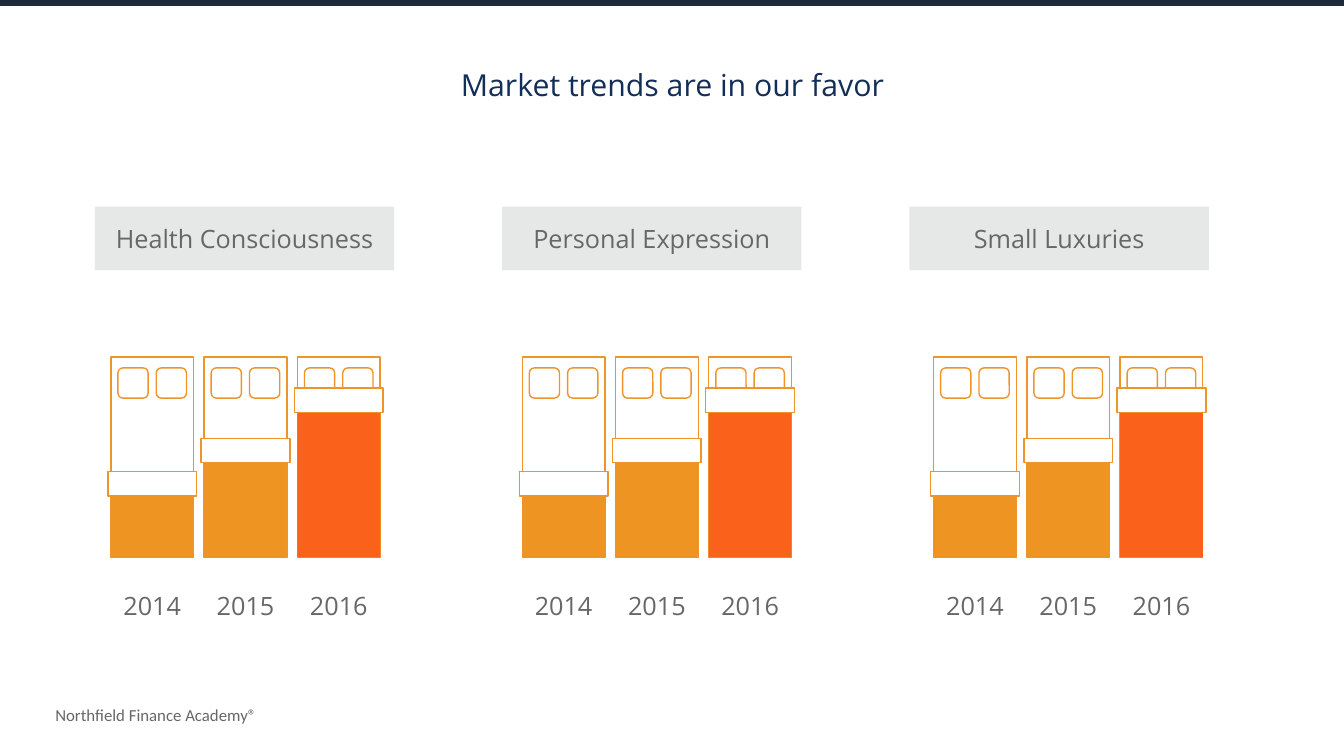
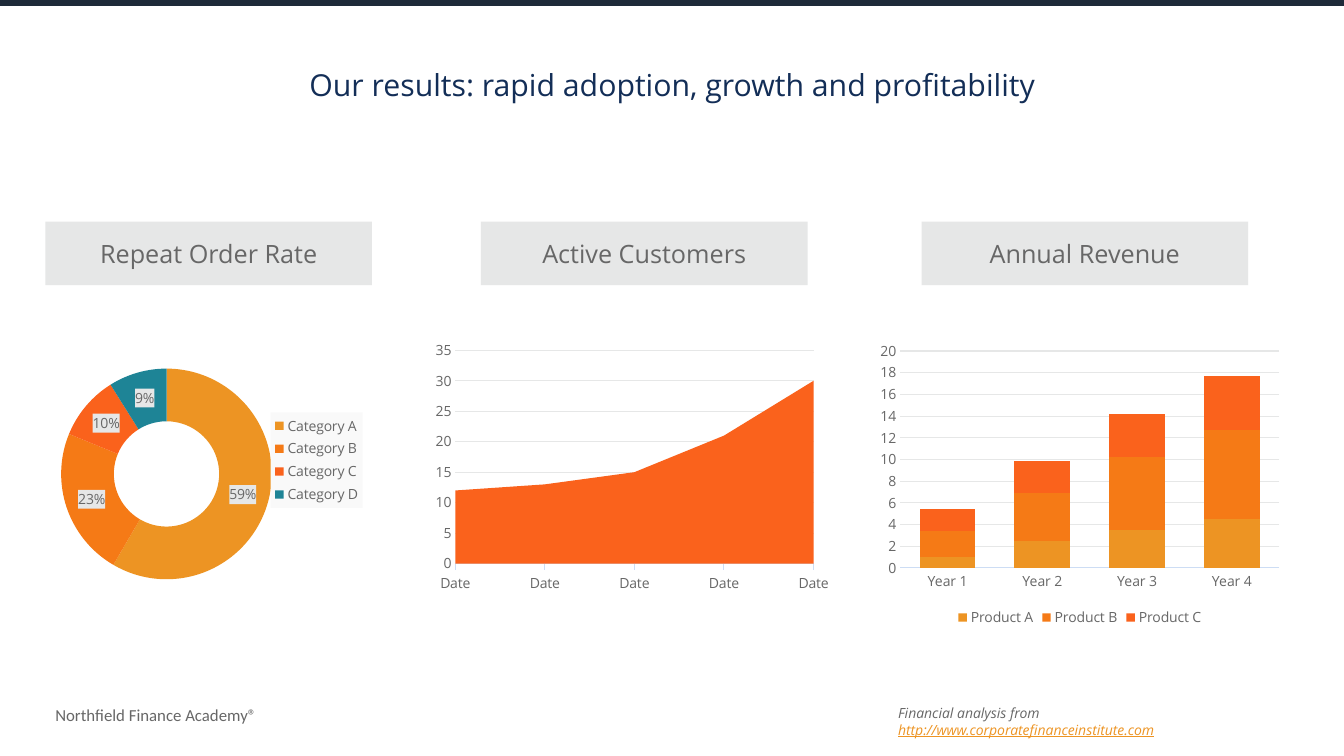
from lxml.etree import SubElement
from pptx import Presentation
from pptx.chart.data import CategoryChartData
from pptx.dml.color import RGBColor
from pptx.enum.chart import XL_CHART_TYPE as Chart, XL_LEGEND_POSITION as LegendSide, XL_TICK_MARK as Tick
from pptx.enum.shapes import MSO_SHAPE as Preset
from pptx.enum.text import MSO_ANCHOR as Anchor, MSO_AUTO_SIZE as AutoSize, PP_ALIGN as Align
from pptx.oxml.ns import qn
from pptx.util import Inches, Pt

COLORS = {
    "band": "1E2A39", "title": "132E57", "text": "676767", "panel": "E6E7E7",
    "amber": "ED9423", "outline": "ED942D", "orange": "F57A16", "red": "FA621C",
    "teal": "1E8496", "axis": "CDDDF4", "legend": "F9F9F9", "white": "FFFFFF",
}
FONT = "Open Sans"


def rgb(name):
    """Return the palette colour of the given name."""
    return RGBColor.from_string(COLORS[name])


def style_font(font, size, color="text", face=FONT, italic=False, underline=False):
    """Apply size, colour, face and emphasis to a font."""
    font.size, font.name = Pt(size), face
    font.color.rgb = rgb(color)
    font.italic, font.underline = italic, underline


def write(shape, text, size=18, align=Align.LEFT, anchor=Anchor.TOP, wrap=True, spacing=None, **style):
    """Append a formatted run to the first paragraph of a shape."""
    frame = shape.text_frame
    frame.word_wrap, frame.vertical_anchor = wrap, anchor
    frame.auto_size = AutoSize.NONE
    paragraph = frame.paragraphs[0]
    paragraph.alignment = align
    paragraph.line_spacing = spacing
    run = paragraph.add_run()
    run.text = text
    style_font(run.font, size, **style)


def add_textbox(slide, left, top, width, height):
    """Add an empty text box."""
    return slide.shapes.add_textbox(*map(Inches, (left, top, width, height)))


def add_block(slide, left, top, width, height, fill=None, line=None, preset=Preset.RECTANGLE):
    """Add a flat preset shape with optional fill and outline."""
    block = slide.shapes.add_shape(preset, *map(Inches, (left, top, width, height)))
    block.shadow.inherit = False
    if fill:
        block.fill.solid()
        block.fill.fore_color.rgb = rgb(fill)
    else:
        block.fill.background()
    if line:
        block.line.color.rgb = rgb(line)
        block.line.width = Pt(1)
    else:
        block.line.fill.background()
    return block


def add_base_slide(deck, heading):
    """Add a slide with the top band, footer and title."""
    slide = deck.slides.add_slide(deck.slide_layouts[5])
    add_block(slide, 0, 0, 13.33, 0.05, fill="band", line="band")
    footer = add_textbox(slide, 0.45, 6.94, 2.19, 0.3)
    write(footer, "Northfield Finance Academy®", size=12, wrap=False, face="Calibri")
    title = slide.shapes.title
    title.left, title.top, title.width, title.height = map(Inches, (1.67, 0.7, 10, 0.37))
    write(title, heading, size=21.6, align=Align.CENTER, anchor=Anchor.MIDDLE, spacing=0.7, color="title")
    return slide


def add_header(slide, left, top, width, label):
    """Add a grey column header."""
    header = add_block(slide, left, top, width, 0.63, fill="panel")
    write(header, label, align=Align.CENTER, anchor=Anchor.MIDDLE)


def add_bed(slide, left, top, year, blanket_height, blanket_color):
    """Draw a bed whose blanket height shows the year's level."""
    width, height = 0.82, 1.99
    add_block(slide, left, top, width, height, line="outline")
    for pillow_left in (0.07, 0.45):
        add_block(slide, left + pillow_left, top + 0.11, 0.3, 0.3, fill="white", line="outline",
                  preset=Preset.ROUNDED_RECTANGLE)
    blanket_top = top + height - blanket_height
    add_block(slide, left, blanket_top, width, blanket_height, fill=blanket_color)
    add_block(slide, left - 0.03, blanket_top - 0.14, width + 0.06, 0.24, fill="white", line="outline")
    caption = add_textbox(slide, left, top + 2.27, width, 0.4)
    write(caption, year, align=Align.CENTER, wrap=False)


def add_bed_row(slide, left, top):
    """Draw the three yearly beds of one trend."""
    levels = (("2014", 0.71, "amber"), ("2015", 1.04, "amber"), ("2016", 1.54, "red"))
    for index, level in enumerate(levels):
        add_bed(slide, left + index * 0.925, top, *level)


def add_plain_chart(slide, kind, box, categories, series):
    """Add a chart with the shared font and no title."""
    data = CategoryChartData()
    data.categories = categories
    for name, values in series:
        data.add_series(name, values)
    chart = slide.shapes.add_chart(kind, *map(Inches, box), data).chart
    chart.has_title = chart.has_legend = False
    style_font(chart.font, 10)
    return chart


def add_legend(chart, side):
    """Show the legend beside the plot."""
    chart.has_legend = True
    chart.legend.position = side
    chart.legend.include_in_layout = False
    style_font(chart.legend.font, 10)


def fill_behind_text(element, color):
    """Give a legend or label element a solid background."""
    shape_format = SubElement(element, qn("c:spPr"))
    solid = SubElement(shape_format, qn("a:solidFill"))
    SubElement(solid, qn("a:srgbClr")).set("val", COLORS[color])
    element.find(qn("c:txPr")).addprevious(shape_format)


def place_plot(chart, **shares):
    """Fix the inner plot area as shares of the chart box."""
    plot_area = chart._chartSpace.chart.plotArea
    for automatic in plot_area.findall(qn("c:layout")):
        plot_area.remove(automatic)
    layout = SubElement(plot_area, qn("c:layout"))
    plot_area.insert(0, layout)
    manual = SubElement(layout, qn("c:manualLayout"))
    settings = {"layoutTarget": "inner", "xMode": "edge", "yMode": "edge", **shares}
    for tag, value in settings.items():
        SubElement(manual, qn(f"c:{tag}")).set("val", str(value))


def style_axes(chart, maximum, step, category_tick):
    """Format both axes and the gridlines."""
    category, value = chart.category_axis, chart.value_axis
    for axis, tick in ((category, category_tick), (value, Tick.NONE)):
        axis.major_tick_mark, axis.minor_tick_mark = tick, Tick.NONE
        style_font(axis.tick_labels.font, 10)
    category.has_major_gridlines = False
    category.format.line.color.rgb = rgb("axis")
    category.format.line.width = Pt(0.75)
    value.format.line.fill.background()
    value.minimum_scale, value.maximum_scale, value.major_unit = 0, maximum, step
    value.has_major_gridlines = True
    value.major_gridlines.format.line.color.rgb = rgb("panel")
    value.major_gridlines.format.line.width = Pt(0.75)


def color_fill(part, color):
    """Fill a series or point."""
    part.format.fill.solid()
    part.format.fill.fore_color.rgb = rgb(color)


def add_repeat_orders(slide, box):
    """Draw the doughnut of repeat order rates."""
    chart = add_plain_chart(slide, Chart.DOUGHNUT, box,
                            ["Category A", "Category B", "Category C", "Category D"],
                            [("Series 1", (59, 23, 10, 9))])
    place_plot(chart, x=0.015, y=0.17, w=0.67, h=0.76)
    add_legend(chart, LegendSide.RIGHT)
    fill_behind_text(chart.legend._element, "legend")
    plot = chart.plots[0]
    plot.vary_by_categories = True
    for index, color in enumerate(("amber", "orange", "red", "teal")):
        color_fill(plot.series[0].points[index], color)
    labels = plot.series[0].data_labels
    labels.show_value = True
    labels.number_format, labels.number_format_is_linked = '0"%"', False
    style_font(labels.font, 10)
    fill_behind_text(labels._element, "panel")


def add_active_customers(slide, box):
    """Draw the area chart of active customers."""
    chart = add_plain_chart(slide, Chart.AREA, box, ["Date"] * 5, [("Series 1", (12, 13, 15, 21, 30))])
    style_axes(chart, 35, 5, Tick.OUTSIDE)
    chart.plots[0].vary_by_categories = False
    color_fill(chart.plots[0].series[0], "red")
    for crossing in chart.value_axis._element.findall(qn("c:crossBetween")):
        crossing.set("val", "midCat")


def add_annual_revenue(slide, box):
    """Draw the stacked columns of annual revenue."""
    products = [("Product A", (1, 2.5, 3.5, 4.5)), ("Product B", (2.4, 4.4, 6.7, 8.2)),
                ("Product C", (2, 3, 4, 5))]
    chart = add_plain_chart(slide, Chart.COLUMN_STACKED, box, [f"Year {n}" for n in range(1, 5)], products)
    style_axes(chart, 20, 2, Tick.NONE)
    add_legend(chart, LegendSide.BOTTOM)
    plot = chart.plots[0]
    plot.vary_by_categories = False
    plot.gap_width, plot.overlap = 70, 100
    for product, color in zip(plot.series, ("amber", "orange", "red")):
        color_fill(product, color)


def build_trends(deck):
    """Build the market trends slide."""
    slide = add_base_slide(deck, "Market trends are in our favor")
    for index, trend in enumerate(("Health Consciousness", "Personal Expression", "Small Luxuries")):
        add_header(slide, 0.94 + index * 4.04, 2.05, 2.97, trend)
        add_bed_row(slide, 1.1 + index * 4.08, 3.54)


def build_results(deck):
    """Build the results slide with its three charts."""
    slide = add_base_slide(deck, "Our results: rapid adoption, growth and profitability")
    results = (
        ("Repeat Order Rate", 0.45, add_repeat_orders, (0.56, 3.19, 3.12, 2.75)),
        ("Active Customers", 4.77, add_active_customers, (4.24, 3.33, 4.06, 2.6)),
        ("Annual Revenue", 9.14, add_annual_revenue, (8.65, 3.33, 4.12, 2.93)),
    )
    for label, left, add_result, box in results:
        add_header(slide, left, 2.2, 3.24, label)
        add_result(slide, box)
    credit = add_textbox(slide, 8.81, 6.94, 4.07, 0.27)
    write(credit, "Financial analysis from ", size=10, italic=True)
    write(credit, "http://www.corporatefinanceinstitute.com", size=10, italic=True,
          color="amber", underline=True)


def main():
    """Build and save the deck."""
    deck = Presentation()
    deck.slide_width, deck.slide_height = Inches(13.33), Inches(7.5)
    build_trends(deck)
    build_results(deck)
    deck.save("out.pptx")


if __name__ == "__main__":
    main()
